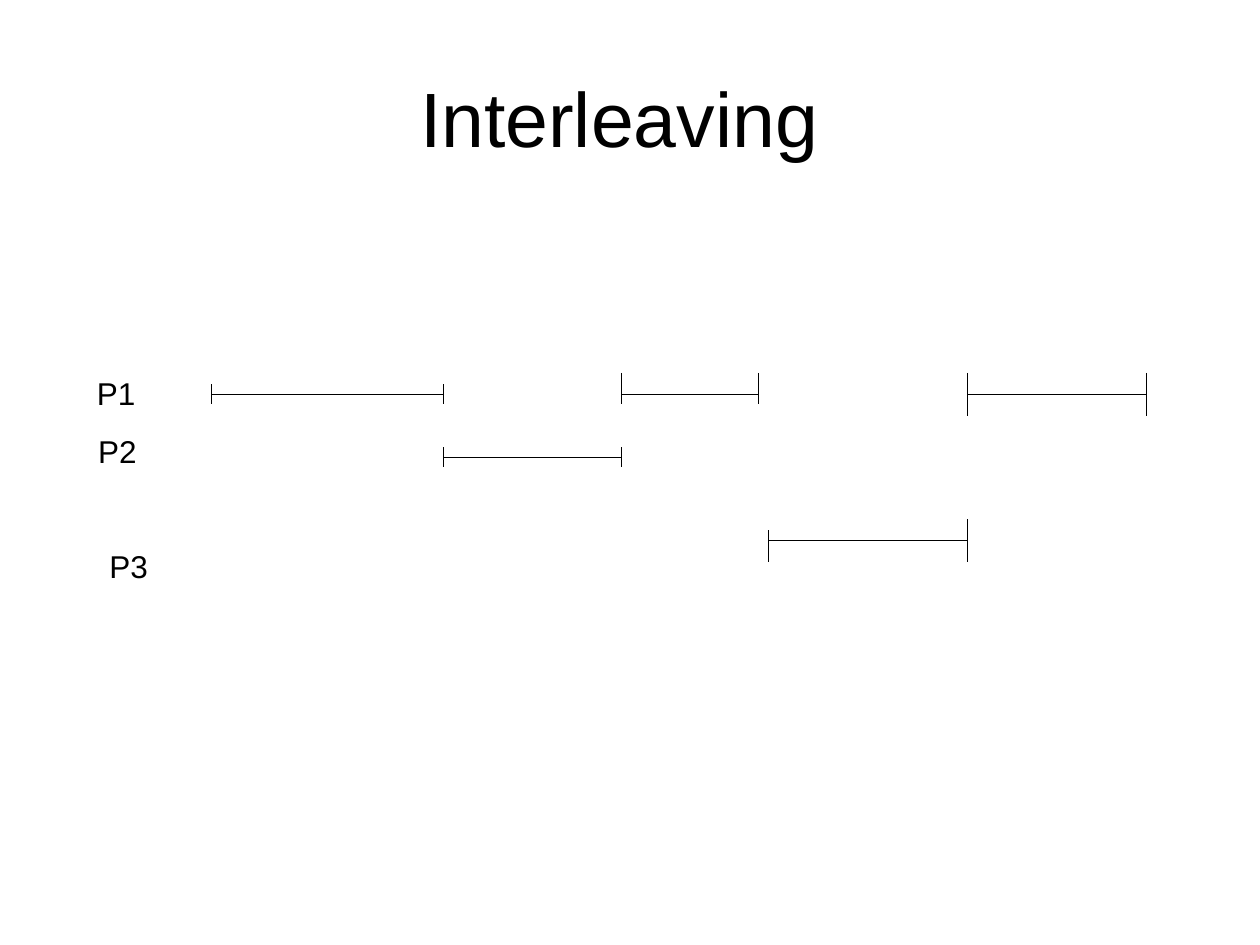
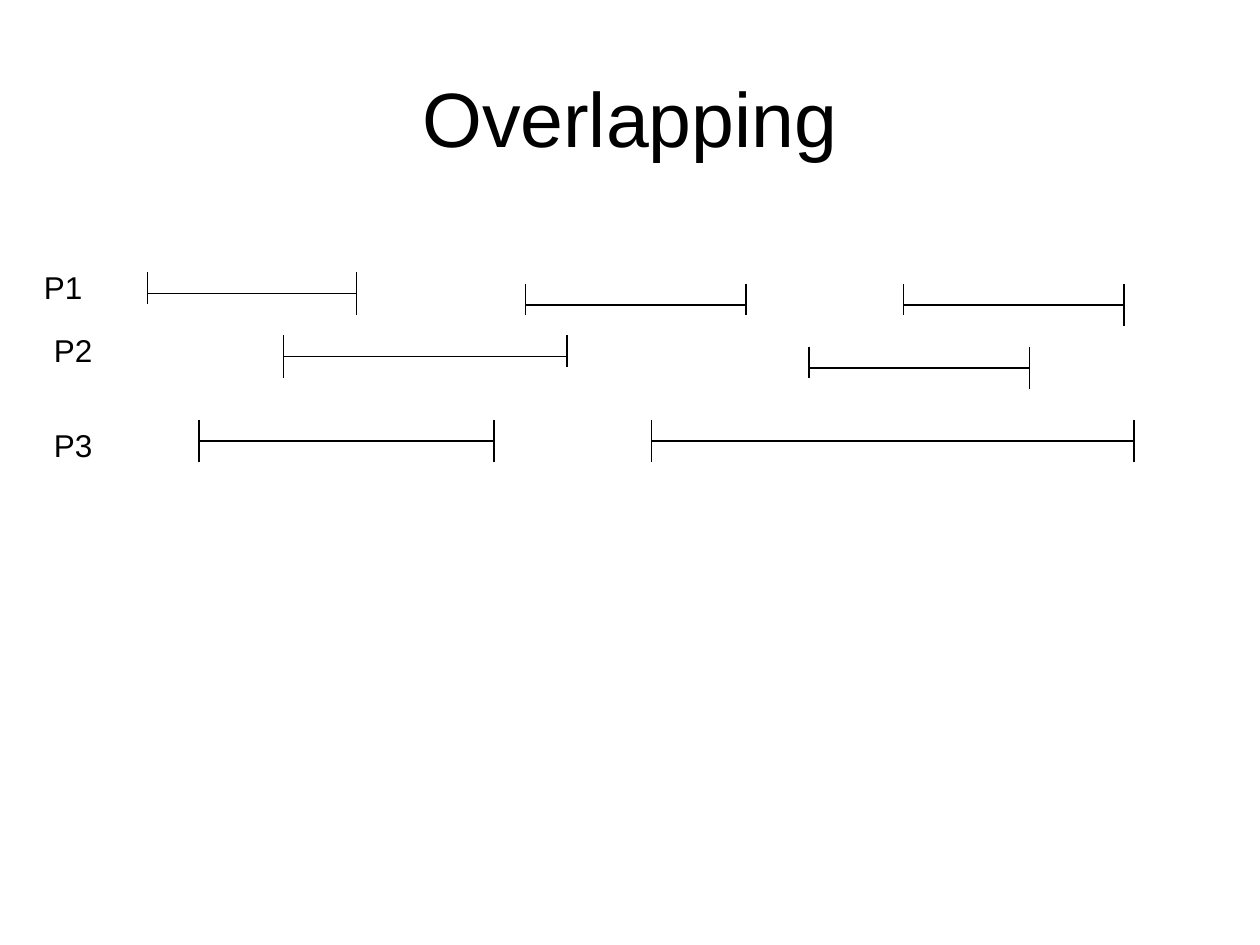
from collections import namedtuple

from lxml.etree import SubElement
from pptx import Presentation
from pptx.dml.color import RGBColor
from pptx.enum.shapes import MSO_CONNECTOR as Connector
from pptx.enum.text import MSO_ANCHOR as Anchor, PP_ALIGN as Align
from pptx.oxml.ns import qn
from pptx.util import Inches, Pt

BLACK = RGBColor(0, 0, 0)
WHITE = RGBColor(255, 255, 255)
FONT = "Arial"
LABEL_HEIGHT = 0.4

Tick = namedtuple("Tick", "above below")
SHORT = Tick(0.08, 0.08)
HIGH = Tick(0.17, 0.08)
LOW = Tick(0.08, 0.17)
LONG = Tick(0.17, 0.17)

Label = namedtuple("Label", "text left top width")
Interval = namedtuple("Interval", "start end level start_tick end_tick")

INTERLEAVING_LABELS = [
    Label("P1", 0, 0, 0.51),
    Label("P2", 0.01, 0.46, 0.51),
    Label("P3", 0.1, 1.37, 0.56),
]
INTERLEAVING_INTERVALS = [
    Interval(1.01, 2.85, 0.21, SHORT, SHORT),
    Interval(4.26, 5.35, 0.21, HIGH, HIGH),
    Interval(7.01, 8.43, 0.21, LONG, LONG),
    Interval(2.85, 4.26, 0.71, SHORT, SHORT),
    Interval(5.43, 7.01, 1.37, LOW, LONG),
]
OVERLAPPING_LABELS = [
    Label("P1", 0, 0, 0.75),
    Label("P2", 0.08, 0.5, 0.75),
    Label("P3", 0.08, 1.25, 0.68),
]
OVERLAPPING_INTERVALS = [
    Interval(0.92, 2.58, 0.25, HIGH, LONG),
    Interval(3.92, 5.67, 0.34, HIGH, HIGH),
    Interval(6.92, 8.67, 0.34, HIGH, LONG),
    Interval(2, 4.25, 0.75, LONG, HIGH),
    Interval(6.17, 7.92, 0.84, HIGH, LONG),
    Interval(1.33, 3.67, 1.42, LONG, LONG),
    Interval(4.92, 8.75, 1.42, LONG, LONG),
]


def style_font(para, size):
    para.font.name = FONT
    para.font.size = Pt(size)
    para.font.color.rgb = BLACK


def add_page(deck, heading):
    page = deck.slides.add_slide(deck.slide_layouts[5])
    page.background.fill.solid()
    page.background.fill.fore_color.rgb = WHITE
    title = page.shapes.title
    title.left, title.top = Inches(0.5), Inches(0.3)
    title.width, title.height = Inches(9), Inches(1.25)
    frame = title.text_frame
    frame.text = heading
    frame.vertical_anchor = Anchor.MIDDLE
    para = frame.paragraphs[0]
    para.alignment = Align.CENTER
    style_font(para, 44)
    return page


def add_line(shapes, x1, y1, x2, y2):
    line = shapes.add_connector(
        Connector.STRAIGHT, Inches(x1), Inches(y1), Inches(x2), Inches(y2)
    )
    line.line.color.rgb = BLACK
    line.line.width = Pt(0.75)
    SubElement(line.element.spPr, qn("a:effectLst"))


def add_interval(shapes, left, top, interval):
    start, end = left + interval.start, left + interval.end
    level = top + interval.level
    add_line(shapes, start, level, end, level)
    for x, tick in ((start, interval.start_tick), (end, interval.end_tick)):
        add_line(shapes, x, level - tick.above, x, level + tick.below)


def add_label(shapes, left, top, label):
    box = shapes.add_textbox(
        Inches(left + label.left), Inches(top + label.top),
        Inches(label.width), Inches(LABEL_HEIGHT),
    )
    frame = box.text_frame
    frame.word_wrap = True
    frame.text = label.text
    style_font(frame.paragraphs[0], 18)


def add_timeline(shapes, left, top, labels, intervals):
    for interval in intervals:
        add_interval(shapes, left, top, interval)
    for label in labels:
        add_label(shapes, left, top, label)


def main():
    deck = Presentation()
    deck.slide_width, deck.slide_height = Inches(10), Inches(7.5)

    interleaving = add_page(deck, "Interleaving ")
    group = interleaving.shapes.add_group_shape()
    add_timeline(group.shapes, 0.67, 2.92, INTERLEAVING_LABELS, INTERLEAVING_INTERVALS)

    overlapping = add_page(deck, "Overlapping")
    add_timeline(overlapping.shapes, 0.25, 2.08, OVERLAPPING_LABELS, OVERLAPPING_INTERVALS)

    deck.save("out.pptx")


if __name__ == "__main__":
    main()
